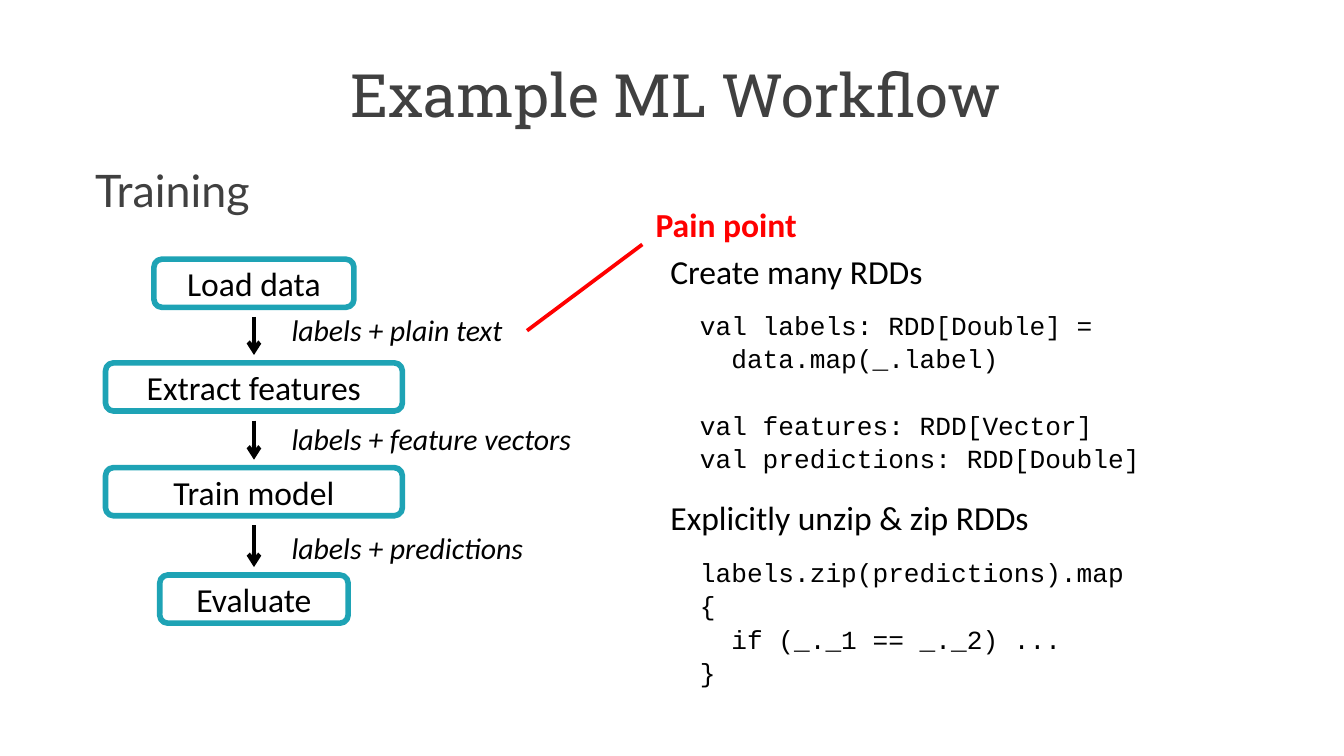
import pptx
import pptx.util
import pptx.enum.shapes
import pptx.enum.text
import pptx.dml.color
import pptx.oxml
import pptx.oxml.ns
from pptx.util import Cm

COLOURS = {"title": "404040", "text": "000000", "teal": "1EA3B5", "pain": "FF0000"}

TITLE = {"name": "Roboto Slab", "size": 32, "colour": "title"}
SUBTITLE = {"name": "Lato", "size": 24, "colour": "title"}
BODY = {"name": "Calibri", "size": 18, "colour": "text"}
DATA = {"name": "Calibri", "size": 16, "colour": "text", "italic": True}
PAIN = {"name": "Calibri", "size": 18, "colour": "pain", "bold": True}
CODE = {"name": "Courier New", "size": 14, "colour": "text"}

CENTRE_X = 4.8
STEP_HEIGHT = 0.91
# Text, top and width in centimetres
STEPS = [
    ("Load data", 4.9, 3.78),
    ("Extract features", 6.86, 5.61),
    ("Train model", 8.84, 5.61),
    ("Evaluate", 10.87, 3.56),
]
# Text and width of what passes from one step to the next
PASSED_DATA = [
    ("labels + plain text", 4.7),
    ("labels + feature vectors", 6.02),
    ("labels + predictions", 5.08),
]
# Text, left, top, width, height and format
LABELS = [
    ("Training", 1.55, 2.95, 3.71, 1.7, SUBTITLE),
    ("Pain point", 12.14, 3.73, 3.23, 1.02, PAIN),
    ("Create many RDDs", 12.42, 4.62, 5.36, 1.02, BODY),
    ("Explicitly unzip & zip RDDs", 12.42, 9.27, 7.37, 1.02, BODY),
]
# Lines and top of each listing
LISTINGS = [
    (["val labels: RDD[Double] =", "  data.map(_.label)"], 5.69),
    (["val features: RDD[Vector]", "val predictions: RDD[Double]"], 7.57),
    (["labels.zip(predictions).map {", "  if (_._1 == _._2) ...", "}"], 10.36),
]


def colour(name):
    return pptx.dml.color.RGBColor.from_string(COLOURS[name])


def format_paragraph(paragraph, text, style):
    paragraph.text = text
    for key, value in style.items():
        if key == "colour":
            paragraph.font.color.rgb = colour(value)
        elif key == "size":
            paragraph.font.size = pptx.util.Pt(value)
        else:
            setattr(paragraph.font, key, value)


def set_title(slide, text):
    title = slide.shapes.title
    place = {"left": 2.82, "top": 0.58, "width": 19.91, "height": 2.39}
    for key, value in place.items():
        setattr(title, key, Cm(value))
    title.text_frame.vertical_anchor = pptx.enum.text.MSO_ANCHOR.MIDDLE
    paragraph = title.text_frame.paragraphs[0]
    format_paragraph(paragraph, text, TITLE)
    paragraph.alignment = pptx.enum.text.PP_ALIGN.CENTER


def add_label(slide, text, left, top, width, height, style):
    """Add one line of text that does not wrap."""
    box = slide.shapes.add_textbox(Cm(left), Cm(top), Cm(width), Cm(height))
    box.text_frame.word_wrap = False
    format_paragraph(box.text_frame.paragraphs[0], text, style)


def add_listing(slide, lines, top):
    box = slide.shapes.add_textbox(Cm(12.98), Cm(top), Cm(9.07), Cm(1.45))
    frame = box.text_frame
    frame.word_wrap = True
    for index, line in enumerate(lines):
        paragraph = frame.add_paragraph() if index else frame.paragraphs[0]
        format_paragraph(paragraph, line, CODE)
        paragraph.line_spacing = 1.06


def add_step(slide, text, top, width):
    shape = slide.shapes.add_shape(
        pptx.enum.shapes.MSO_SHAPE.ROUNDED_RECTANGLE,
        Cm(CENTRE_X - width / 2), Cm(top), Cm(width), Cm(STEP_HEIGHT))
    shape.shadow.inherit = False
    shape.fill.background()
    shape.line.color.rgb = colour("teal")
    shape.line.width = pptx.util.Pt(3)
    shape.text_frame.vertical_anchor = pptx.enum.text.MSO_ANCHOR.MIDDLE
    paragraph = shape.text_frame.paragraphs[0]
    format_paragraph(paragraph, text, BODY)
    paragraph.alignment = pptx.enum.text.PP_ALIGN.CENTER


def add_line(slide, start, end, colour_name, width, arrow=False):
    points = [Cm(value) for value in (*start, *end)]
    connector = slide.shapes.add_connector(
        pptx.enum.shapes.MSO_CONNECTOR.STRAIGHT, *points)
    connector.line.color.rgb = colour(colour_name)
    connector.line.width = pptx.util.Pt(width)
    if arrow:
        tail = pptx.oxml.parse_xml(
            f'<a:tailEnd {pptx.oxml.ns.nsdecls("a")} type="arrow"/>')
        connector.line._get_or_add_ln().append(tail)
    effects = pptx.oxml.parse_xml(f'<a:effectLst {pptx.oxml.ns.nsdecls("a")}/>')
    connector._element.spPr.append(effects)


def add_workflow(slide):
    for text, top, width in STEPS:
        add_step(slide, text, top, width)
    for index, (text, width) in enumerate(PASSED_DATA):
        start = STEPS[index][1] + STEP_HEIGHT + 0.18
        end = STEPS[index + 1][1] - 0.15
        add_line(slide, (CENTRE_X, start), (CENTRE_X, end), "text", 2.25, arrow=True)
        add_label(slide, text, 5.26, 5.77 + 2.06 * index, width, 0.94, DATA)


def main():
    presentation = pptx.Presentation()
    presentation.slide_width = Cm(25.4)
    presentation.slide_height = Cm(14.29)
    slide = presentation.slides.add_slide(presentation.slide_layouts[5])
    set_title(slide, "Example ML Workflow")
    add_workflow(slide)
    add_line(slide, (9.96, 6.25), (12.14, 4.62), "pain", 2)
    for label in LABELS:
        add_label(slide, *label)
    for lines, top in LISTINGS:
        add_listing(slide, lines, top)
    presentation.save("out.pptx")


if __name__ == "__main__":
    main()
